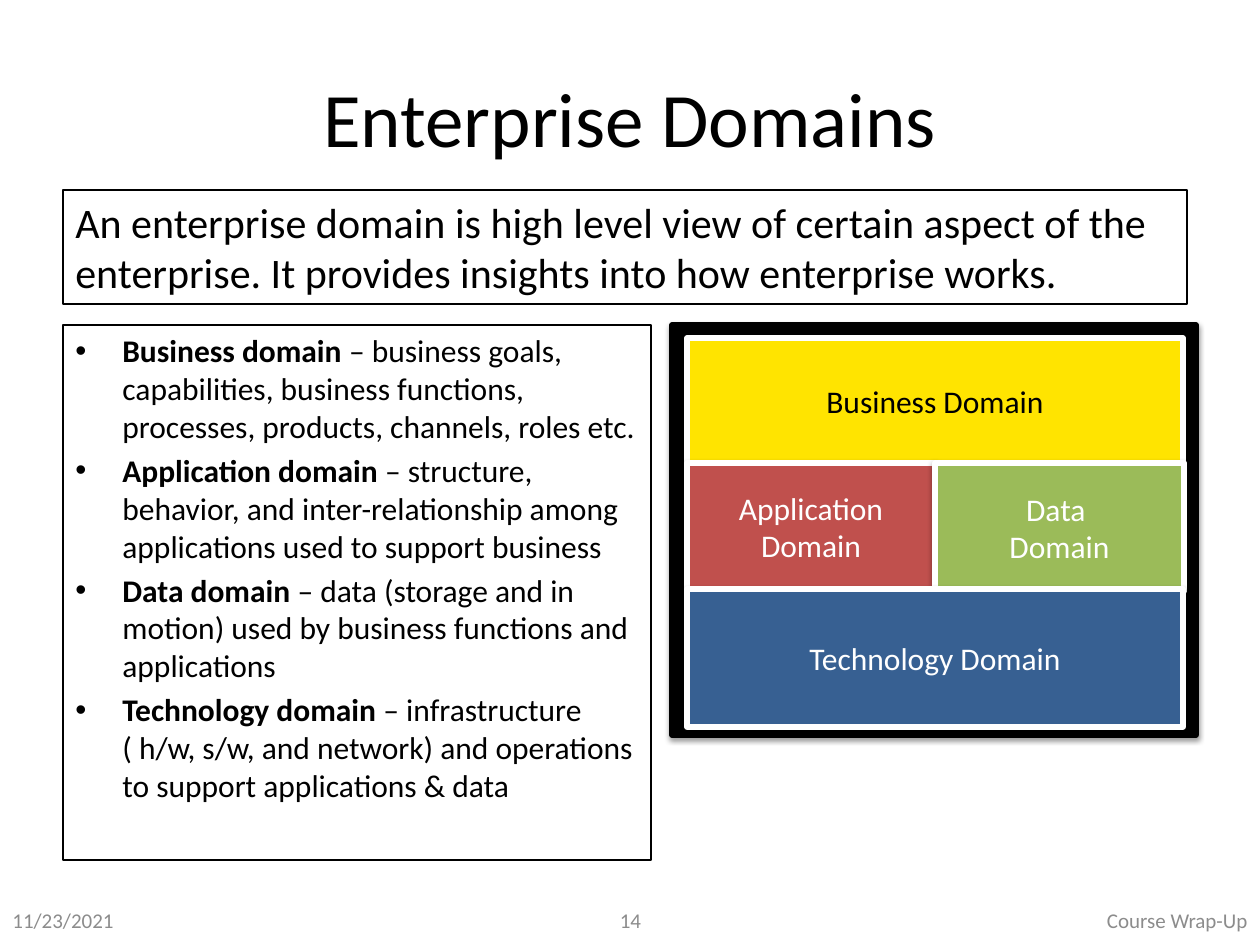
import lxml.etree
import pptx
import pptx.dml.color
import pptx.enum.shapes
import pptx.enum.text
import pptx.oxml.ns
import pptx.util

PX = 914400 / 126
FONT = "Calibri"
ALIGN = pptx.enum.text.PP_ALIGN
ANCHOR = pptx.enum.text.MSO_ANCHOR
COLORS = {
    "black": "000000",
    "white": "FFFFFF",
    "gray": "8C8C8C",
    "yellow": "FFE400",
    "red": "C0504D",
    "green": "9BBB59",
    "blue": "376092",
}
BULLETS = [
    ("Business domain ", "– business goals, capabilities, business functions, "
     "processes, products, channels, roles etc."),
    ("Application domain ", "– structure, behavior, and inter-relationship among "
     "applications used to support business"),
    ("Data domain ", "– data (storage and in motion) used by business functions "
     "and applications"),
    ("Technology domain ", "– infrastructure ( h/w, s/w, and network) and "
     "operations to support applications & data"),
]
DOMAINS = [
    ("Business Domain", "yellow", "black", (687, 338, 496, 125)),
    ("Application Domain", "red", "white", (687, 463, 248, 127)),
    ("Data \nDomain", "green", "white", (935, 463, 249, 129)),
    ("Technology Domain", "blue", "white", (687, 589, 496, 138)),
]
FOOTERS = [
    ("11/23/2021", ALIGN.LEFT, 0, 294),
    ("14", ALIGN.CENTER, 431, 399),
    ("Course Wrap-Up", ALIGN.RIGHT, 966, 294),
]


def emu(box):
    return [round(length * PX) for length in box]


def color(name):
    return pptx.dml.color.RGBColor.from_string(COLORS[name])


def add_element(parent, tag, **attributes):
    return lxml.etree.SubElement(parent, pptx.oxml.ns.qn(tag), attributes)


def format_text(text_frame, size, color_name, align=ALIGN.LEFT, anchor=ANCHOR.TOP):
    text_frame.word_wrap = True
    text_frame.vertical_anchor = anchor
    for paragraph in text_frame.paragraphs:
        paragraph.alignment = align
        for run in paragraph.runs:
            run.font.name = FONT
            run.font.size = pptx.util.Pt(size)
            run.font.color.rgb = color(color_name)


def set_outline(shape, color_name, width):
    shape.line.color.rgb = color(color_name)
    shape.line.width = pptx.util.Pt(width)


def add_title(slide, text, box):
    title = slide.shapes.title
    title.left, title.top, title.width, title.height = emu(box)
    title.text_frame.text = text
    format_text(title.text_frame, 44, "black", ALIGN.CENTER, ANCHOR.MIDDLE)


def add_text(slide, text, box, size, color_name, align=ALIGN.LEFT, anchor=ANCHOR.TOP):
    shape = slide.shapes.add_textbox(*emu(box))
    shape.text_frame.text = text
    format_text(shape.text_frame, size, color_name, align, anchor)
    return shape


def add_bullets(slide, bullets, box):
    shape = slide.shapes.add_textbox(*emu(box))
    set_outline(shape, "black", 0.75)
    text_frame = shape.text_frame
    text_frame.text = "\n".join(term for term, description in bullets)
    for paragraph, (term, description) in zip(text_frame.paragraphs, bullets):
        paragraph.runs[0].font.bold = True
        paragraph.add_run().text = description
        paragraph.space_before = pptx.util.Pt(3.6)
        properties = paragraph._p.get_or_add_pPr()
        indent = round(47 * PX)
        properties.set("marL", str(indent))
        properties.set("indent", str(-indent))
        add_element(properties, "a:buFont", typeface="Arial")
        add_element(properties, "a:buChar", char="•")
    format_text(text_frame, 18, "black")


def add_shadow(shape):
    shape.shadow.inherit = False
    effects = shape._element.spPr.find(pptx.oxml.ns.qn("a:effectLst"))
    shadow = add_element(effects, "a:outerShdw", blurRad="40000", dist="20000",
                         dir="5400000", rotWithShape="0")
    tint = add_element(shadow, "a:srgbClr", val=COLORS["black"])
    add_element(tint, "a:alpha", val="38000")


def add_block(group, box, fill_name, line_name):
    shape = group.shapes.add_shape(pptx.enum.shapes.MSO_SHAPE.RECTANGLE, *emu(box))
    shape.fill.solid()
    shape.fill.fore_color.rgb = color(fill_name)
    set_outline(shape, line_name, 3)
    add_shadow(shape)
    return shape


def add_domain_diagram(slide):
    group = slide.shapes.add_group_shape()
    add_block(group, (672, 325, 524, 410), "black", "black")
    for text, fill_name, text_color, box in DOMAINS:
        block = add_block(group, box, fill_name, "white")
        block.text_frame.text = text
        format_text(block.text_frame, 18, text_color, ALIGN.CENTER, ANCHOR.MIDDLE)


def main():
    presentation = pptx.Presentation()
    presentation.slide_width, presentation.slide_height = emu((1260, 945))
    slide = presentation.slides.add_slide(presentation.slide_layouts[5])
    add_title(slide, "Enterprise Domains", (63, 38, 1134, 158))
    add_bullets(slide, BULLETS, (63, 325, 588, 535))
    for text, align, left, width in FOOTERS:
        add_text(slide, text, (left, 895, width, 50), 12, "gray", align, ANCHOR.MIDDLE)
    add_domain_diagram(slide)
    summary = add_text(
        slide,
        "An enterprise domain is high level view of certain aspect of the "
        "enterprise. It provides insights into how enterprise works.",
        (63, 190, 1124, 114), 24, "black")
    set_outline(summary, "black", 0.75)
    presentation.save("out.pptx")


if __name__ == "__main__":
    main()
